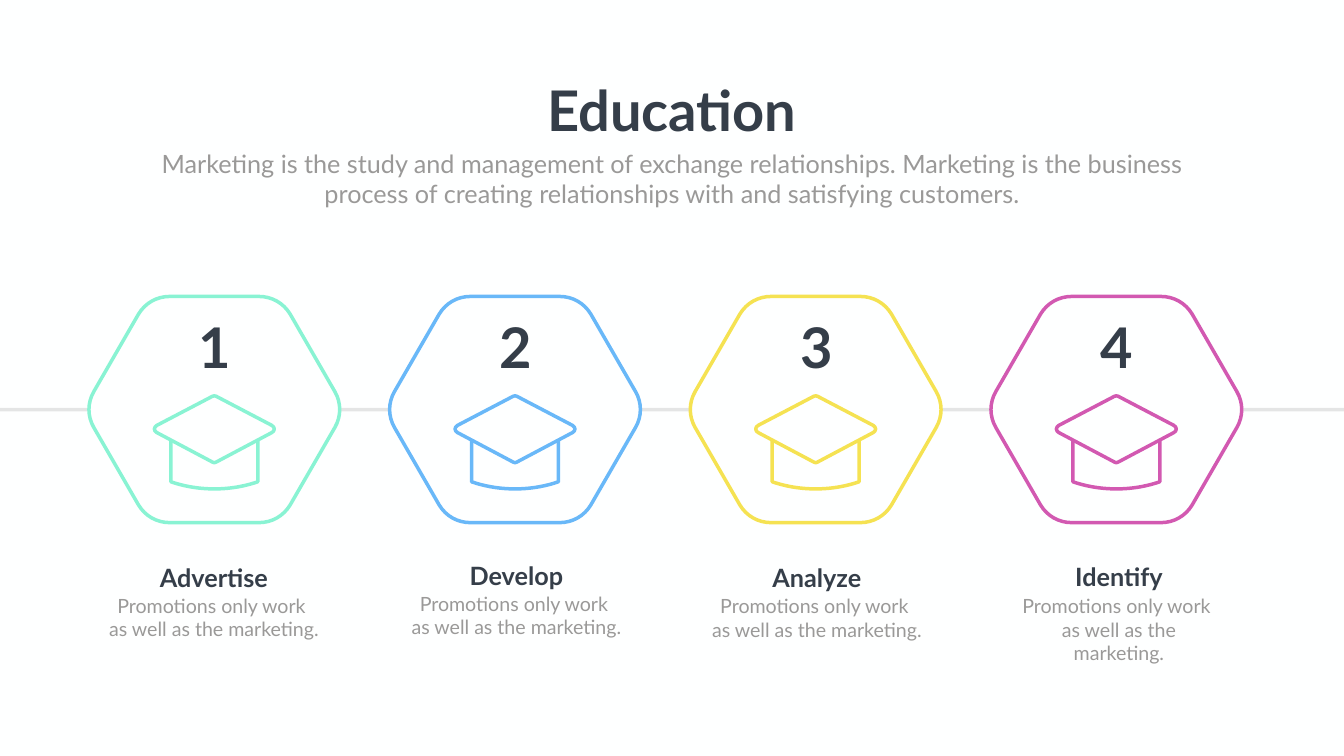
from pptx import Presentation
from pptx.dml.color import RGBColor
from pptx.enum.shapes import MSO_CONNECTOR
from pptx.enum.text import MSO_ANCHOR, MSO_AUTO_SIZE, PP_ALIGN
from pptx.oxml.ns import qn
from pptx.oxml.xmlchemy import OxmlElement
from pptx.util import Cm, Pt

WIDTH, HEIGHT = 67.72, 38.1
AXIS_Y = 20.64
FIRST_CENTRE, PITCH = 10.8, 15.15
PAPER, INK, GREY, AXIS_GREY = "FEFFFF", "353E49", "9A9998", "808080"

HEADLINE = {"size": Pt(80), "bold": True, "name": "Lato"}
HEADING = {"size": Pt(36), "bold": True, "name": "Lato"}
INTRO = {"size": Pt(36), "bold": False, "name": "Lato"}
BODY = {"size": Pt(28), "bold": False, "name": "Lato"}

HEXAGON = [
    [(2.24, -5.7), (2.9, -5.7), (3.48, -5.37), (3.82, -4.81)],
    [(6.07, -0.91), (6.4, -0.34), (6.4, 0.34), (6.07, 0.91)],
    [(3.82, 4.81), (3.48, 5.37), (2.9, 5.7), (2.24, 5.7)],
]
CAP_BASE = [
    [(2.19, 1.21)],
    [(2.19, 3.64), (1.68, 3.82), (0.92, 4), (0, 4)],
]
CAP_BOARD = [
    [(0, -0.69), (0.03, -0.69), (0.06, -0.69), (0.09, -0.67)],
    [(2.9, 0.8), (3.06, 0.9), (3.06, 1.07), (2.9, 1.16)],
    [(0.09, 2.65), (0.06, 2.68), (0.03, 2.68), (0, 2.68)],
]

INTRO_TEXT = (
    "Marketing is the study and management of exchange relationships. "
    "Marketing is the business process of creating relationships with "
    "and satisfying customers."
)
STEP_LINES = ["Promotions only work ", "as well as the marketing."]
STEPS = [
    ("Advertise", "89F3D3", 10.78, 28.22, 29.79, 11.35),
    ("Develop", "69B8F8", 26.02, 28.09, 29.69, 11.23),
    ("Analyze", "F5E252", 41.16, 28.22, 29.82, 11.15),
    ("Identify", "D259B1", 56.38, 28.17, 29.82, 11.03),
]


def colour(code):
    """Turn a hex string into a colour."""
    return RGBColor.from_string(code)


def round_corners(outline, corners):
    """Turn the three segments of each four-point corner into one curve."""
    path = next(outline._element.iter(qn("a:path")))
    segments = list(path)
    start = 0
    for corner in corners:
        if len(corner) == 4:
            curve = OxmlElement("a:cubicBezTo")
            segments[start + 1].addprevious(curve)
            for segment in segments[start + 1:start + 4]:
                curve.append(segment[0])
                path.remove(segment)
        start += len(corner)


def add_outline(slide, right_half, centre, line_code):
    """Draw a closed outline from its right half and the mirror of it."""
    left_half = [[(-x, y) for x, y in reversed(corner)] for corner in reversed(right_half)]
    corners = right_half + left_half
    points = [(Cm(centre + x), Cm(AXIS_Y + y)) for corner in corners for x, y in corner]
    builder = slide.shapes.build_freeform(*points[0], scale=1.0)
    builder.add_line_segments(points[1:], close=True)
    outline = builder.convert_to_shape()
    round_corners(outline, corners)
    outline.shadow.inherit = False
    outline.fill.solid()
    outline.fill.fore_color.rgb = colour(PAPER)
    outline.line.color.rgb = colour(line_code)
    outline.line.width = Pt(5)


def fill_text(frame, lines, font_values, code, wrap=True):
    """Write centred lines in one format."""
    frame_values = {
        "word_wrap": wrap,
        "auto_size": MSO_AUTO_SIZE.SHAPE_TO_FIT_TEXT,
        "vertical_anchor": MSO_ANCHOR.TOP,
    }
    for key, value in frame_values.items():
        setattr(frame, key, value)
    for index, line in enumerate(lines):
        paragraph = frame.add_paragraph() if index else frame.paragraphs[0]
        paragraph.alignment = PP_ALIGN.CENTER
        run = paragraph.add_run()
        run.text = line
        for key, value in font_values.items():
            setattr(run.font, key, value)
        run.font.color.rgb = colour(code)


def add_label(shapes, lines, centre, top, size, font_values, code, wrap=True):
    """Add a text box centred on a horizontal position."""
    width, height = size
    label = shapes.add_textbox(Cm(centre - width / 2), Cm(top), Cm(width), Cm(height))
    fill_text(label.text_frame, lines, font_values, code, wrap)


def add_title(slide, text):
    """Place and format the title placeholder."""
    title = slide.shapes.title
    place = {"left": Cm(27.2), "top": Cm(3.68), "width": Cm(13.31), "height": Cm(3.68)}
    for key, value in place.items():
        setattr(title, key, value)
    fill_text(title.text_frame, [text], HEADLINE, INK, wrap=False)


def add_axis(slide):
    """Draw the pale line that runs behind the steps."""
    axis = slide.shapes.add_connector(
        MSO_CONNECTOR.STRAIGHT, Cm(0), Cm(AXIS_Y), Cm(WIDTH), Cm(AXIS_Y)
    )
    axis.line.color.rgb = colour(AXIS_GREY)
    axis.line.width = Pt(5)
    properties = axis._element.spPr
    alpha = OxmlElement("a:alpha")
    alpha.set("val", "20000")
    next(properties.iter(qn("a:srgbClr"))).append(alpha)
    properties.append(OxmlElement("a:effectLst"))


def add_step(slide, index, step):
    """Draw one numbered hexagon with its cap and caption."""
    heading, code, caption_centre, heading_top, body_top, body_width = step
    centre = FIRST_CENTRE + index * PITCH
    for outline in (HEXAGON, CAP_BASE, CAP_BOARD):
        add_outline(slide, outline, centre, code)
    add_label(slide.shapes, [str(index + 1)], centre + 0.04, 15.65, (2.16, 3.68), HEADLINE, INK, False)
    caption = slide.shapes.add_group_shape().shapes
    add_label(caption, [heading], caption_centre, heading_top, (6.63, 1.8), HEADING, INK)
    add_label(caption, STEP_LINES, caption_centre, body_top, (body_width, 2.64), BODY, GREY)


def main():
    """Build the slide and save it."""
    deck = Presentation()
    deck.slide_width, deck.slide_height = Cm(WIDTH), Cm(HEIGHT)
    slide = deck.slides.add_slide(deck.slide_layouts[5])
    slide.background.fill.solid()
    slide.background.fill.fore_color.rgb = colour(PAPER)
    add_title(slide, "Education")
    add_axis(slide)
    for index, step in enumerate(STEPS):
        add_step(slide, index, step)
    add_label(slide.shapes, [INTRO_TEXT], WIDTH / 2, 7.34, (54.1, 3.33), INTRO, GREY)
    deck.save("out.pptx")


if __name__ == "__main__":
    main()
